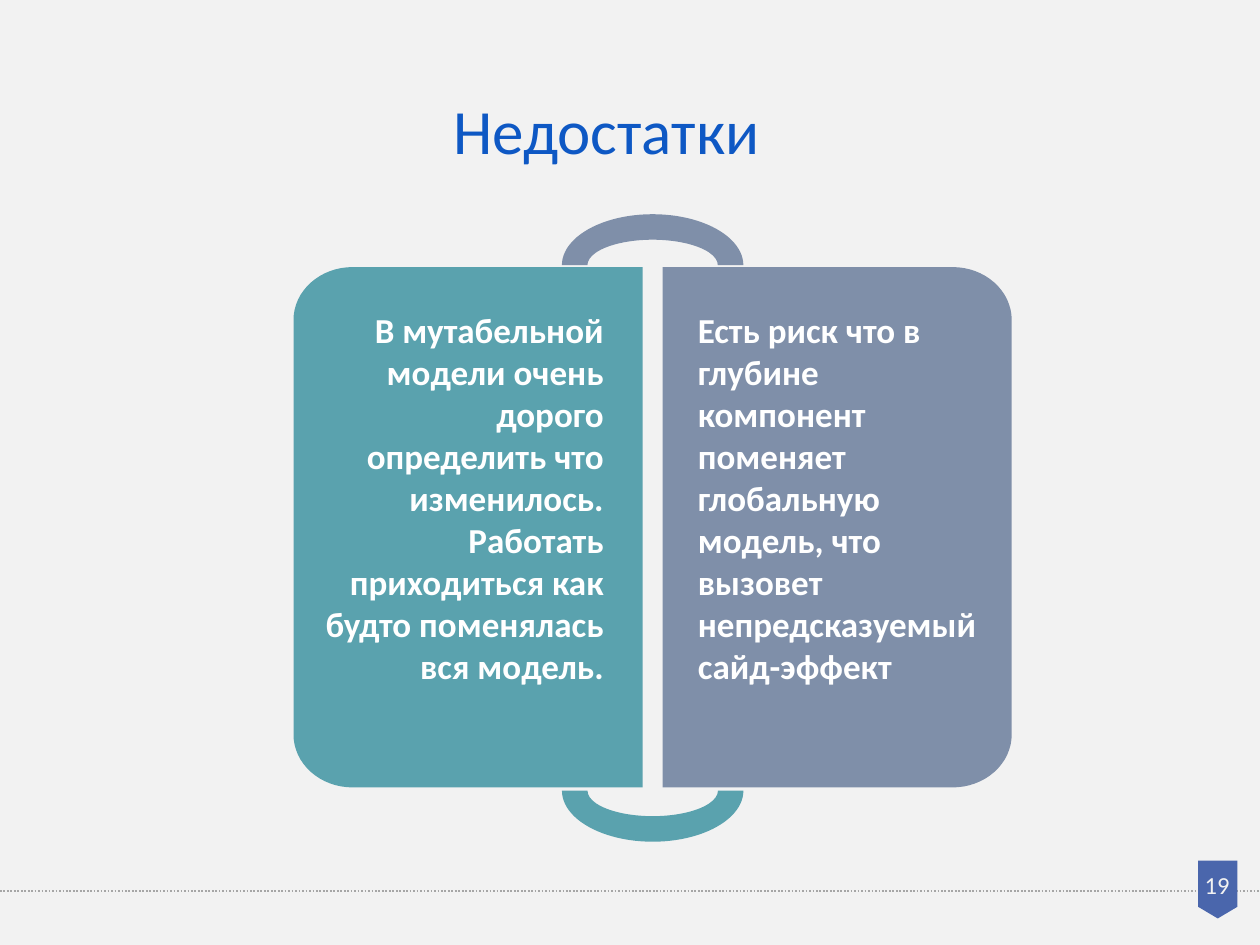
import math
from dataclasses import dataclass

import pptx
import pptx.dml.color
import pptx.enum.dml
import pptx.enum.shapes
import pptx.enum.text
import pptx.oxml
import pptx.util

Inches = pptx.util.Inches
Pt = pptx.util.Pt
Shape = pptx.enum.shapes.MSO_SHAPE
Align = pptx.enum.text.PP_ALIGN
rgb = pptx.dml.color.RGBColor.from_string


@dataclass(frozen=True)
class Theme:
    font: str = "Calibri"
    background: str = "F2F2F2"
    rule: str = "A6A6A6"
    badge: str = "4A66AC"
    title: str = "0E58C4"
    teal: str = "5AA2AE"
    slate: str = "7F8FA9"
    white: str = "FFFFFF"
    title_size: int = 36
    body_size: int = 20
    number_size: int = 14


theme = Theme()


def paint(shape, color):
    shape.shadow.inherit = False
    shape.fill.solid()
    shape.fill.fore_color.rgb = rgb(color)
    shape.line.fill.background()


def write(box, text, size, color, align=Align.LEFT, spacing=1.0, bold=False):
    frame = slide.shapes.add_textbox(*map(Inches, box)).text_frame
    frame.word_wrap = True
    paragraph = frame.paragraphs[0]
    paragraph.alignment = align
    paragraph.line_spacing = spacing
    run = paragraph.add_run()
    run.text = text
    run.font.name = theme.font
    run.font.size = Pt(size)
    run.font.bold = bold
    run.font.color.rgb = rgb(color)


deck = pptx.Presentation()
deck.slide_width = Inches(10)
deck.slide_height = Inches(7.5)
slide = deck.slides.add_slide(deck.slide_layouts[6])
slide.background.fill.solid()
slide.background.fill.fore_color.rgb = rgb(theme.background)

footer_rule = slide.shapes.add_connector(
    pptx.enum.shapes.MSO_CONNECTOR.STRAIGHT,
    Inches(0), Inches(7.07), Inches(10), Inches(7.07))
footer_rule.line.color.rgb = rgb(theme.rule)
footer_rule.line.width = Pt(1)
footer_rule.line.dash_style = pptx.enum.dml.MSO_LINE.ROUND_DOT
footer_rule._element.spPr.append(pptx.oxml.parse_xml(
    '<a:effectLst xmlns:a="http://schemas.openxmlformats.org/drawingml/2006/main"/>'))

badge = slide.shapes.add_shape(
    Shape.FLOWCHART_OFFPAGE_CONNECTOR,
    Inches(9.51), Inches(6.83), Inches(0.31), Inches(0.46))
paint(badge, theme.badge)
write((9.44, 6.88, 0.44, 0.31), "19", theme.number_size, theme.background,
      Align.CENTER, 0.9)
write((3.5, 0.38, 4.95, 0.9), "Недостатки", theme.title_size, theme.title,
      spacing=1.5)

center, half_gap, panel_width = 5.18, 0.08, 2.77
top, bottom = 2.12, 6.25
corner_width, corner_height = 0.47, 0.42
arc_width, arc_height = 1.44, 0.81
text_width, text_height = 2.42, 3.49
arc_steps = 16

panels = [
    (-1, theme.teal, 2.47, Align.RIGHT,
     "В мутабельной модели очень дорого определить что изменилось. "
     "Работать приходиться как будто поменялась вся модель."),
    (1, theme.slate, 5.44, Align.LEFT,
     "Есть риск что в глубине компонент поменяет глобальную модель, "
     "что вызовет непредсказуемый сайд-эффект"),
]
for side, color, text_left, align, text in panels:
    inner = center + side * half_gap
    corner_x = inner + side * (panel_width - corner_width)
    outline = [(inner, top)]
    for corner_y, start in ((top + corner_height, -90),
                            (bottom - corner_height, 0)):
        for step in range(arc_steps + 1):
            angle = math.radians(start + 90 * step / arc_steps)
            outline.append((corner_x + side * corner_width * math.cos(angle),
                            corner_y + corner_height * math.sin(angle)))
    outline.append((inner, bottom))
    points = [(Inches(x), Inches(y)) for x, y in outline]
    builder = slide.shapes.build_freeform(*points[0])
    builder.add_line_segments(points[1:], close=True)
    paint(builder.convert_to_shape(), color)
    write((text_left, 2.4, text_width, text_height), text, theme.body_size,
          theme.white, align, bold=True)

for arc_top, rotation, color in ((1.7, 0, theme.slate), (5.87, 180, theme.teal)):
    handle = slide.shapes.add_shape(
        Shape.BLOCK_ARC, Inches(center - arc_width / 2), Inches(arc_top),
        Inches(arc_width), Inches(arc_height))
    handle.rotation = rotation
    paint(handle, color)

deck.save("out.pptx")
